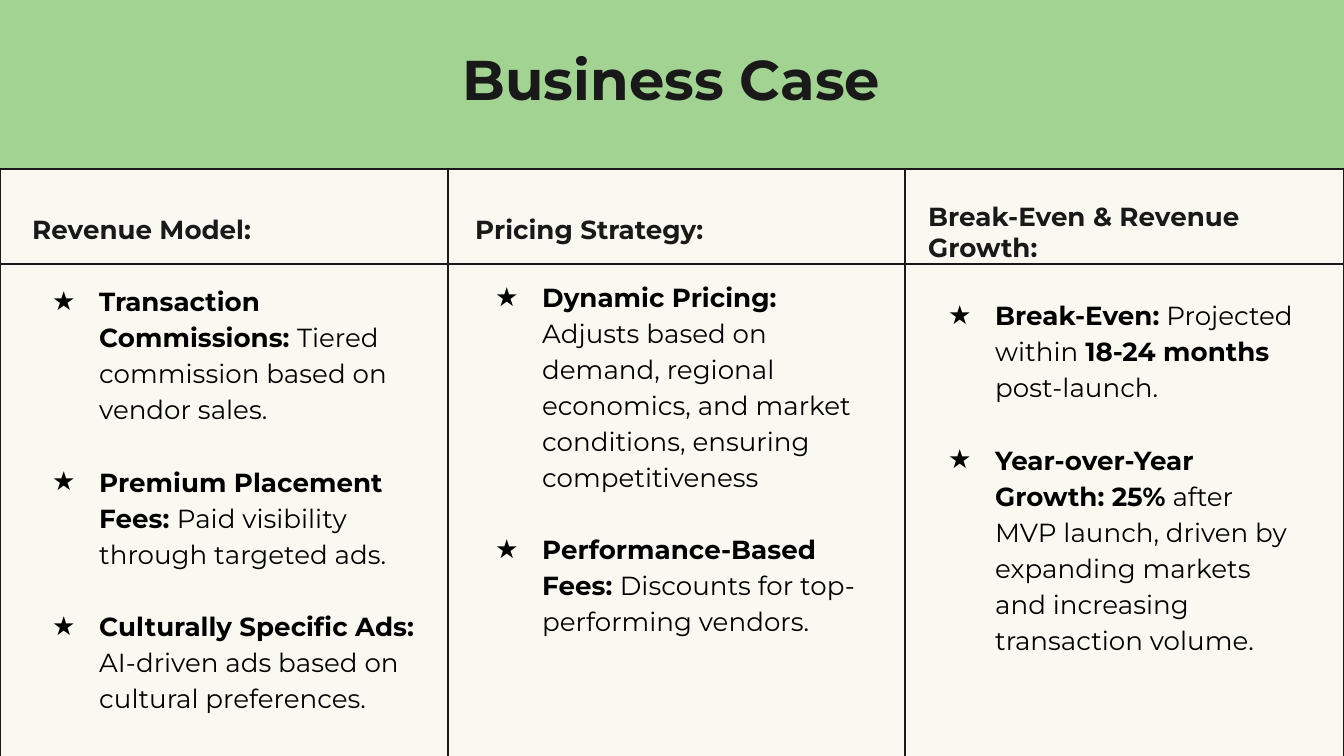
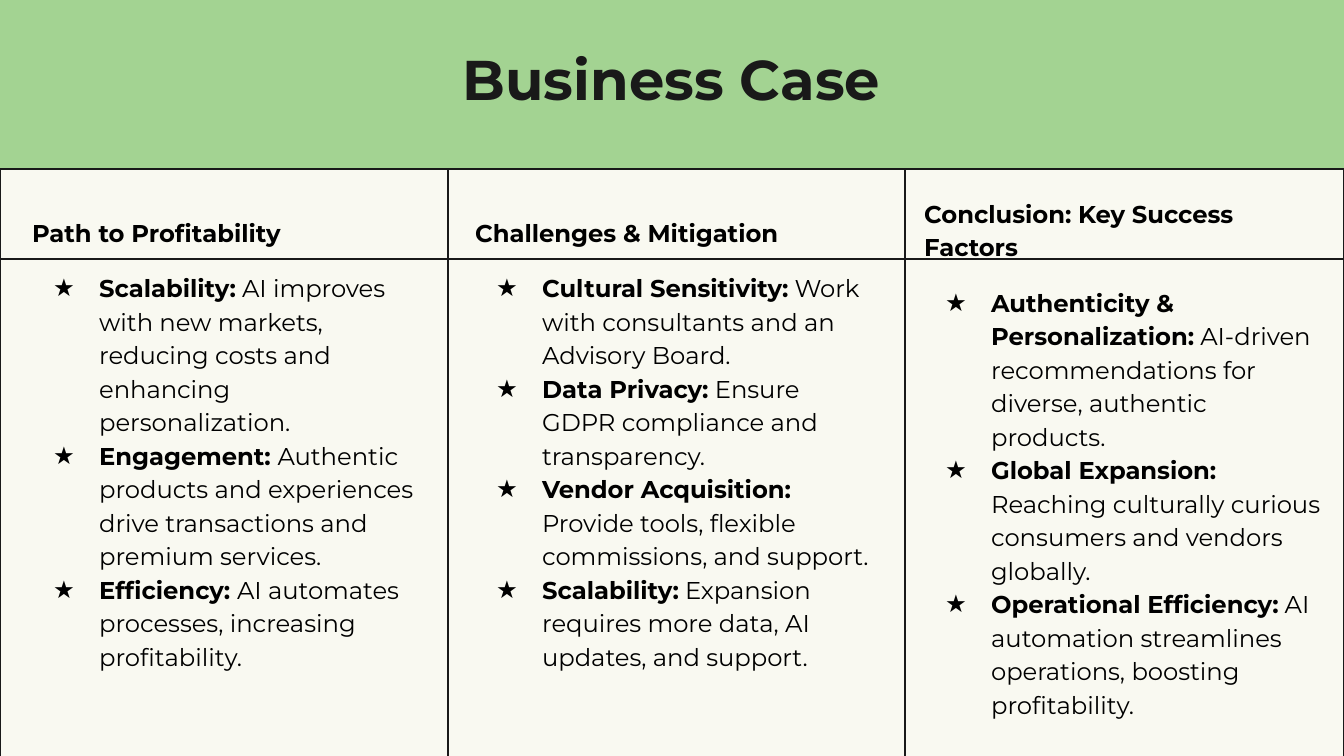
import pptx
import pptx.util
import pptx.dml.color
import pptx.enum.shapes
import pptx.enum.text
import lxml.etree

PX = 914400 / 134.4
A = "{http://schemas.openxmlformats.org/drawingml/2006/main}"
INK, PAPER, GREEN, BLACK = "191919", "F9F9F1", "A3D392", "000000"
COLUMN_EDGES = [0, 448, 905, 1344]
BAND_H, COLUMN_H, TEXT_H = 169, 591, 531
INSETS = ["margin_left", "margin_top", "margin_right", "margin_bottom"]


def paint(fmt, color):
    fmt.solid()
    target = fmt.fore_color
    target.rgb = pptx.dml.color.RGBColor.from_string(color)


def add_box(s, box, fill=None, line=None, text=False):
    at = [round(v * PX) for v in box]
    if text:
        sp = s.shapes.add_textbox(*at)
        sp.text_frame.word_wrap = True
        for inset in INSETS:
            setattr(sp.text_frame, inset, pptx.util.Inches(0.1))
        return sp
    sp = s.shapes.add_shape(pptx.enum.shapes.MSO_SHAPE.RECTANGLE, *at)
    sp.shadow.inherit = False
    if fill:
        paint(sp.fill, fill)
    else:
        sp.fill.background()
    if line:
        paint(sp.line.fill, line)
        sp.line.width = pptx.util.Pt(0.75)
    else:
        sp.line.fill.background()
    return sp


slides = [
    {
        "size": 14, "heading_color": INK, "heading_spacing": 1.0,
        "header_h": 95, "hang": 47, "gap": 19.4,
        "columns": [
            ((19, 200, 410), "Revenue Model:", 19.4, [
                ["Transaction Commissions: ", "Tiered commission based on vendor sales."],
                ["Premium Placement Fees: ", "Paid visibility through targeted ads."],
                ["Culturally Specific Ads: ", "AI-driven ads based on cultural preferences."],
            ]),
            ((462, 200, 410), "Pricing Strategy:", 17, [
                ["Dynamic Pricing:", " Adjusts based on demand, regional economics, "
                 "and market conditions, ensuring competitiveness"],
                ["Performance-Based Fees: ", "Discounts for top-performing vendors."],
            ]),
            ((915, 187, 400), "Break-Even & Revenue Growth:", 17, [
                ["Break-Even:", " Projected within ", "18-24 months", " post-launch."],
                ["Year-over-Year Growth: 25%", " after MVP launch, driven by expanding "
                 "markets and increasing transaction volume."],
            ]),
        ],
    },
    {
        "size": 13, "heading_color": BLACK, "heading_spacing": 1.15,
        "header_h": 90, "hang": 46, "gap": 0,
        "columns": [
            ((19, 200, 418), "Path to Profitability", 12, [
                ["Scalability:", " AI improves with new markets, reducing costs and "
                 "enhancing personalization."],
                ["Engagement: ", "Authentic products and experiences drive transactions "
                 "and premium services."],
                ["Efficiency: ", "AI automates processes, increasing profitability."],
            ]),
            ((462, 200, 427), "Challenges & Mitigation", 12, [
                ["Cultural Sensitivity:", " Work with consultants and an Advisory Board."],
                ["Data Privacy:", " Ensure GDPR compliance and transparency."],
                ["Vendor Acquisition: ", "Provide tools, flexible commissions, and support."],
                ["Scalability:", " Expansion requires more data, AI updates, and support."],
            ]),
            ((911, 181, 427), "Conclusion: Key Success Factors", 12, [
                ["Authenticity & Personalization:", " AI-driven recommendations for "
                 "diverse, authentic products."],
                ["Global Expansion: ", "Reaching culturally curious consumers and vendors globally."],
                ["Operational Efficiency:", " AI automation streamlines operations, "
                 "boosting profitability."],
            ]),
        ],
    },
]

prs = pptx.Presentation()
prs.slide_width = round(1344 * PX)
prs.slide_height = round(756 * PX)

for slide in slides:
    s = prs.slides.add_slide(prs.slide_layouts[6])
    paint(s.background.fill, PAPER)
    add_box(s, (0, 0, 1344, BAND_H), GREEN)
    title = add_box(s, (103, 36, 1137, 85), text=True).text_frame
    title.vertical_anchor = pptx.enum.text.MSO_ANCHOR.MIDDLE
    title.paragraphs[0].alignment = pptx.enum.text.PP_ALIGN.CENTER
    lines = [(title.paragraphs[0], ["Business Case"], 30, INK)]

    for left, right in zip(COLUMN_EDGES, COLUMN_EDGES[1:]):
        add_box(s, (left, BAND_H, right - left, COLUMN_H), PAPER, INK)

    for place, heading, first_gap, items in slide["columns"]:
        tf = add_box(s, (*place, TEXT_H), text=True).text_frame
        p = tf.paragraphs[0]
        p.line_spacing = slide["heading_spacing"]
        lines.append((p, [heading], slide["size"], slide["heading_color"]))
        for i, item in enumerate(items):
            p = tf.add_paragraph()
            pPr = p._p.get_or_add_pPr()
            pPr.set("marL", str(round(67 * PX)))
            pPr.set("indent", str(round(-slide["hang"] * PX)))
            color = lxml.etree.SubElement(pPr, A + "buClr")
            lxml.etree.SubElement(color, A + "srgbClr", val=BLACK)
            lxml.etree.SubElement(pPr, A + "buFont", typeface="Montserrat")
            lxml.etree.SubElement(pPr, A + "buChar", char="★")
            p.line_spacing = 1.15
            p.space_before = pptx.util.Pt(slide["gap"] if i else first_gap)
            lines.append((p, item, slide["size"], BLACK))

    for p, texts, size, color in lines:
        for i, text in enumerate(texts):
            r = p.add_run()
            r.text = text
            look = {"name": "Montserrat", "size": pptx.util.Pt(size), "bold": i % 2 == 0}
            for key, value in look.items():
                setattr(r.font, key, value)
            paint(r.font.fill, color)

    add_box(s, (0, BAND_H, 1344, slide["header_h"]), line=INK)

prs.save("out.pptx")
